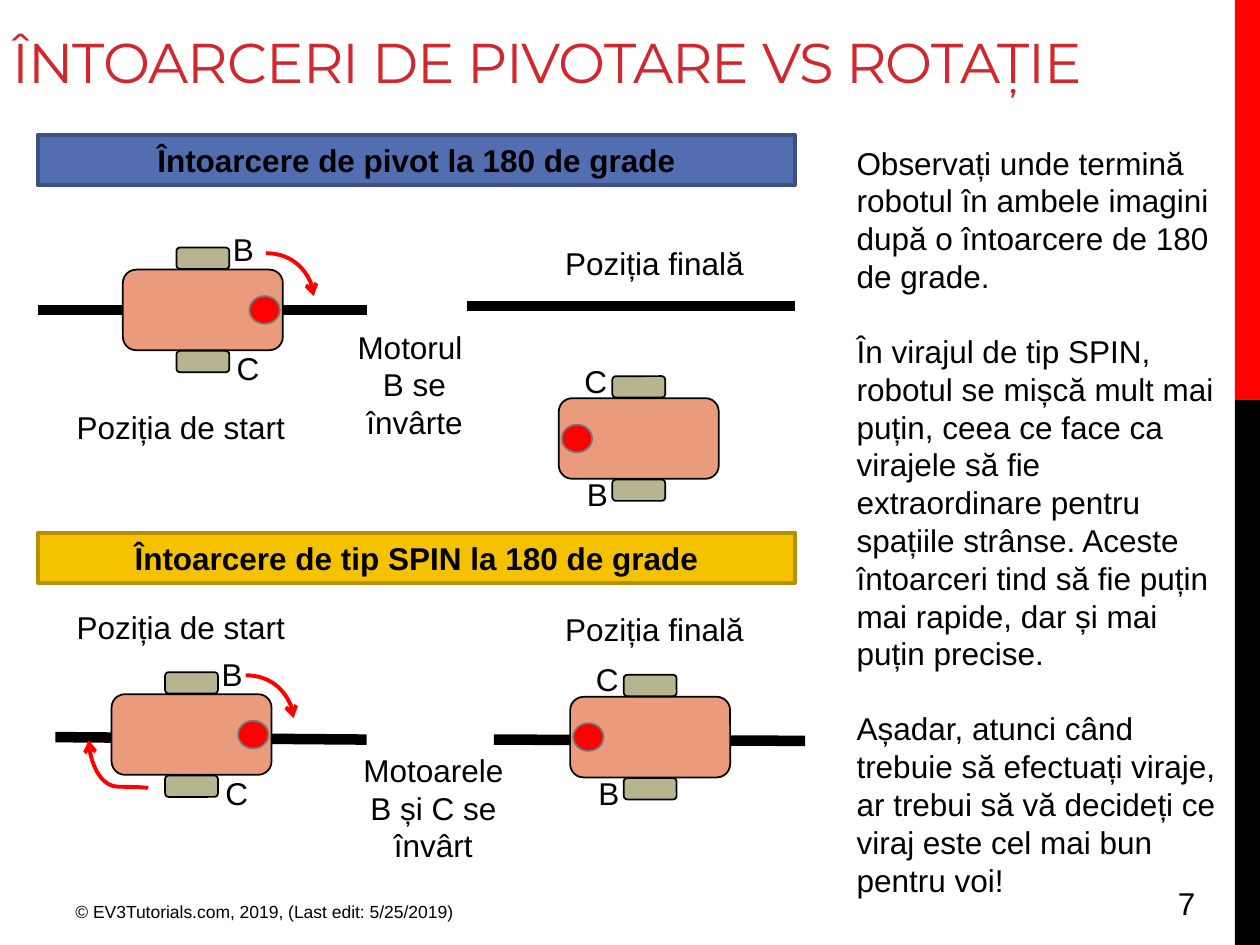
"""Build the slide comparing pivot and spin turns of a two-motor robot."""
import pptx
import pptx.dml.color
import pptx.enum.shapes
import pptx.enum.text
import pptx.oxml.ns
import pptx.util
from lxml import etree
from pptx.util import Inches

COLORS = {
    "black": "000000", "red": "FF0000", "title": "D1282E",
    "blue": "526DB0", "blue_edge": "3D5182",
    "yellow": "F5C201", "yellow_edge": "B59001",
    "body": "EA9B7C", "wheel": "B6B590", "dot_edge": "777777",
}
SHAPE = pptx.enum.shapes.MSO_SHAPE
CONNECTOR = pptx.enum.shapes.MSO_CONNECTOR
LEFT = pptx.enum.text.PP_ALIGN.LEFT
CENTER = pptx.enum.text.PP_ALIGN.CENTER
qn = pptx.oxml.ns.qn


def add_shape(container, kind, box, fill, edge=None, edge_width=1):
    shape = container.shapes.add_shape(kind, *map(Inches, box))
    shape.shadow.inherit = False
    shape.fill.solid()
    shape.fill.fore_color.rgb = pptx.dml.color.RGBColor.from_string(COLORS[fill])
    if edge:
        shape.line.color.rgb = pptx.dml.color.RGBColor.from_string(COLORS[edge])
        shape.line.width = pptx.util.Pt(edge_width)
    else:
        shape.line.fill.background()
    return shape


def write_text(shape, text, size=18, align=LEFT, bold=False, color="black", font="Arial", gap=0):
    shape.text_frame.text = text
    shape.text_frame.word_wrap = True
    for index, paragraph in enumerate(shape.text_frame.paragraphs):
        paragraph.alignment = align
        if index and gap:
            paragraph.space_before = pptx.util.Pt(gap)
        for run in paragraph.runs:
            run.font.name = font
            run.font.size = pptx.util.Pt(size)
            run.font.bold = bold
            run.font.color.rgb = pptx.dml.color.RGBColor.from_string(COLORS[color])


presentation = pptx.Presentation()
presentation.slide_width = Inches(10)
presentation.slide_height = Inches(7.5)
slide = presentation.slides.add_slide(presentation.slide_layouts[6])

add_shape(slide, SHAPE.RECTANGLE, (9.8, 3.17, 0.2, 4.33), "black")
add_shape(slide, SHAPE.RECTANGLE, (9.8, 0, 0.2, 3.17), "red")

title = slide.shapes.add_textbox(0, Inches(0.17), Inches(9.76), Inches(1.5))
write_text(title, "ÎNTOARCERI DE PIVOTARE VS ROTAȚIE", 32, color="title", font="Montserrat")
title.text_frame.paragraphs[0].runs[0].font._element.set("spc", "-60")

for top, text, fill, edge in [
    (1.07, "Întoarcere de pivot la 180 de grade", "blue", "blue_edge"),
    (4.23, "Întoarcere de tip SPIN la 180 de grade", "yellow", "yellow_edge"),
]:
    banner = add_shape(slide, SHAPE.RECTANGLE, (0.3, top, 6.01, 0.4), fill, edge, 2.25)
    write_text(banner, text, align=CENTER, bold=True)

for box, text, size, align, gap in [
    ((0.5, 7.1, 4.01, 0.31), "© EV3Tutorials.com, 2019, (Last edit: 5/25/2019)", 10, LEFT, 0),
    ((9.25, 6.97, 0.69, 0.4), "7", 18, LEFT, 0),
    ((0.5, 3.19, 1.87, 0.4), "Poziția de start", 18, CENTER, 0),
    ((4.26, 1.89, 1.87, 0.4), "Poziția finală", 18, CENTER, 0),
    ((2.56, 2.55, 1.46, 1.31), "Motorul \nB se învârte", 18, CENTER, 0),
    ((0.5, 4.78, 1.87, 0.4), "Poziția de start", 18, CENTER, 0),
    ((4.26, 4.79, 1.87, 0.4), "Poziția finală", 18, CENTER, 0),
    ((2.71, 5.91, 1.46, 1.01), "Motoarele B și C se învârt", 18, CENTER, 0),
    ((6.7, 1.09, 3.07, 6.16),
     "Observați unde termină robotul în ambele imagini după o întoarcere de 180 de grade.\n"
     "În virajul de tip SPIN, robotul se mișcă mult mai puțin, ceea ce face ca virajele să fie "
     "extraordinare pentru spațiile strânse. Aceste întoarceri tind să fie puțin mai rapide, "
     "dar și mai puțin precise.\n"
     "Așadar, atunci când trebuie să efectuați viraje, ar trebui să vă decideți ce viraj este "
     "cel mai bun pentru voi!", 18, LEFT, 21.3),
]:
    write_text(slide.shapes.add_textbox(*map(Inches, box)), text, size, align, gap=gap)

for ends, preset in [
    ((0.3, 2.46, 2.91, 2.46), "line"),
    ((3.71, 2.43, 6.31, 2.43), "line"),
    ((0.44, 5.85, 2.91, 5.87), "line"),
    ((3.92, 5.87, 6.39, 5.88), "line"),
    ((2.11, 2.01, 2.49, 2.35), "curvedConnector2"),
    ((1.95, 5.36, 2.33, 5.7), "curvedConnector2"),
    ((0.75, 5.83, 1.13, 6.3), "curvedConnector3"),
]:
    straight = preset == "line"
    kind = CONNECTOR.STRAIGHT if straight else CONNECTOR.CURVE
    connector = slide.shapes.add_connector(kind, *map(Inches, ends))
    color = COLORS["black" if straight else "red"]
    connector.line.color.rgb = pptx.dml.color.RGBColor.from_string(color)
    connector.line.width = pptx.util.Pt(6 if straight else 2.25)
    properties = connector._element.spPr
    etree.SubElement(properties, qn("a:effectLst"))
    if not straight:
        etree.SubElement(properties.find(qn("a:ln")), qn("a:tailEnd"), type="arrow")
        geometry = properties.find(qn("a:prstGeom"))
        geometry.set("prst", preset)
    if preset == "curvedConnector3":
        properties.find(qn("a:xfrm")).set("rot", "16200000")
        properties.find(qn("a:xfrm")).set("flipV", "1")
        adjustments = geometry.find(qn("a:avLst"))
        if adjustments is None:
            adjustments = etree.SubElement(geometry, qn("a:avLst"))
        etree.SubElement(adjustments, qn("a:gd"), name="adj1", fmla="val 2800")

for center_x, center_y, facing in [
    (1.61, 2.46, 1), (5.07, 3.48, -1), (1.52, 5.83, 1), (5.16, 5.85, -1),
]:
    robot = slide.shapes.add_group_shape()
    for kind, offset_x, offset_y, width, height, fill, edge in [
        (SHAPE.ROUNDED_RECTANGLE, 0, 0, 0.64, 1.27, "body", "black"),
        (SHAPE.ROUNDED_RECTANGLE, 0, -0.41, 0.17, 0.42, "wheel", "black"),
        (SHAPE.ROUNDED_RECTANGLE, 0, 0.41, 0.17, 0.42, "wheel", "black"),
        (SHAPE.OVAL, 0.49 * facing, 0, 0.22, 0.24, "red", "dot_edge"),
    ]:
        box = (center_x + offset_x - width / 2, center_y + offset_y - height / 2, width, height)
        part = add_shape(robot, kind, box, fill, edge)
        part.rotation = 90 if facing == 1 else 270
    if facing == 1:
        labels = [("B", 0.14, -0.68), ("C", 0.17, 0.26)]
    else:
        labels = [("B", -0.51, 0.24), ("C", -0.53, -0.66)]
    for letter, offset_x, offset_y in labels:
        box = (center_x + offset_x, center_y + offset_y, 0.51, 0.32)
        write_text(robot.shapes.add_textbox(*map(Inches, box)), letter)

presentation.save("out.pptx")
